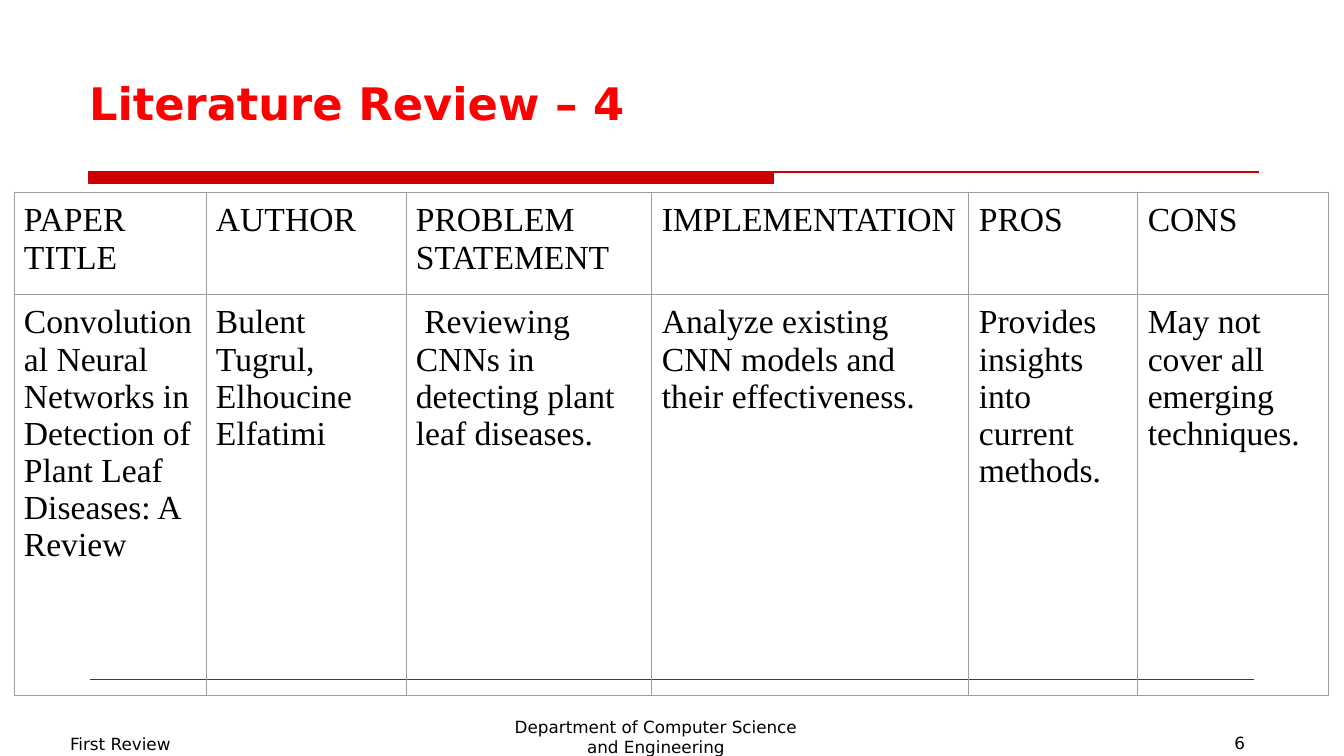
from itertools import product
from lxml.etree import SubElement
from pptx import Presentation
from pptx.dml.color import RGBColor
from pptx.enum.shapes import MSO_CONNECTOR, MSO_SHAPE
from pptx.enum.text import MSO_ANCHOR, PP_ALIGN
from pptx.oxml import parse_xml
from pptx.oxml.ns import nsdecls, qn
from pptx.util import Pt

EMU_PER_PX = 914400 / 100.8
RED = "CC0000"
GRID = "9E9E9E"
TITLE = "Literature Review – 4"
TITLE_BOX = (79, 0, 1176, 134)
TITLE_FONT = {"name": "DejaVu Sans", "size": Pt(32), "bold": True}
FOOTER_FONT = {"name": "DejaVu Sans", "size": Pt(12), "bold": False}
TABLE_FONT = {"name": "Times New Roman", "size": Pt(24), "bold": False}
BAR = (89, 172, 685, 12)
RULES = [(89, 172, 1259), (90, 680, 1254)]
TABLE_ORIGIN = (14, 192)
COLUMNS = [192, 200, 246, 317, 169, 191]
ROWS = [102, 401]
CELLS = [
    [["PAPER\vTITLE"], ["AUTHOR"], ["PROBLEM STATEMENT"],
     ["IMPLEMENTATION"], ["PROS"], ["CONS"]],
    [["Convolutional Neural Networks in Detection of Plant Leaf Diseases: A Review"],
     ["Bulent Tugrul,", "Elhoucine Elfatimi"],
     [" Reviewing CNNs in detecting plant leaf diseases."],
     ["Analyze existing CNN models and their effectiveness."],
     ["Provides insights into current methods."],
     ["May not cover all emerging techniques."]],
]
FOOTERS = [
    ("6", (964, 728, 291, 52), 5, PP_ALIGN.RIGHT),
    ("Department of Computer Science and Engineering", (494, 707, 324, 61), 10, PP_ALIGN.CENTER),
    ("First Review", (60, 724, 331, 40), 10, PP_ALIGN.LEFT),
]


def px(*lengths):
    return [round(length * EMU_PER_PX) for length in lengths]


def color(value):
    return RGBColor.from_string(value)


def assign(target, values):
    for name, value in values.items():
        setattr(target, name, value)


def margins(side, end):
    names = ("margin_left", "margin_right", "margin_top", "margin_bottom")
    return dict(zip(names, px(side, side, end, end)))


def write(frame, lines, font, ink="000000", align=PP_ALIGN.LEFT):
    for index, line in enumerate(lines):
        para = frame.add_paragraph() if index else frame.paragraphs[0]
        para.text = line
        para.alignment = align
        for span in para.runs:
            assign(span.font, font)
            span.font.color.rgb = color(ink)


def add_rule(page, left, top, right):
    rule = page.shapes.add_connector(MSO_CONNECTOR.STRAIGHT, *px(left, top, right, top))
    rule.line.color.rgb = color(RED)
    rule.line.width = Pt(0.75)
    SubElement(rule._element.spPr, qn("a:effectLst"))


def add_bar(page):
    bar = page.shapes.add_shape(MSO_SHAPE.RECTANGLE, *px(*BAR))
    bar.shadow.inherit = False
    bar.fill.solid()
    bar.fill.fore_color.rgb = color(RED)
    bar.line.color.rgb = color(RED)
    bar.line.width = Pt(0.75)


def add_borders(cell):
    properties = cell._tc.get_or_add_tcPr()
    for index, side in enumerate("LRTB"):
        properties.insert(index, parse_xml(
            f'<a:ln{side} {nsdecls("a")} w="{Pt(0.75)}"><a:solidFill>'
            f'<a:srgbClr val="{GRID}"/></a:solidFill></a:ln{side}>'))


def add_review_table(page):
    size = px(*TABLE_ORIGIN, sum(COLUMNS), sum(ROWS))
    table = page.shapes.add_table(len(ROWS), len(COLUMNS), *size).table
    assign(table, {"first_row": False, "horz_banding": False})
    for column, width in zip(table.columns, px(*COLUMNS)):
        column.width = width
    for row, height in zip(table.rows, px(*ROWS)):
        row.height = height
    for row, column in product(range(len(ROWS)), range(len(COLUMNS))):
        cell = table.cell(row, column)
        assign(cell, margins(10, 10))
        cell.fill.background()
        add_borders(cell)
        write(cell.text_frame, CELLS[row][column], TABLE_FONT)


def add_footer(page, text, place, inset, align):
    frame = page.shapes.add_textbox(*px(*place)).text_frame
    assign(frame, {"word_wrap": True, **margins(10, inset)})
    write(frame, [text], FOOTER_FONT, align=align)


def main():
    """Build the literature review slide."""
    deck = Presentation()
    deck.slide_width, deck.slide_height = px(1344, 756)
    page = deck.slides.add_slide(deck.slide_layouts[5])
    title = page.shapes.title
    assign(title, dict(zip(("left", "top", "width", "height"), px(*TITLE_BOX))))
    assign(title.text_frame, {"vertical_anchor": MSO_ANCHOR.BOTTOM, **margins(10, 5)})
    write(title.text_frame, [TITLE], TITLE_FONT, "FF0000")
    add_bar(page)
    for rule in RULES:
        add_rule(page, *rule)
    add_review_table(page)
    for footer in FOOTERS:
        add_footer(page, *footer)
    deck.save("out.pptx")


if __name__ == "__main__":
    main()
